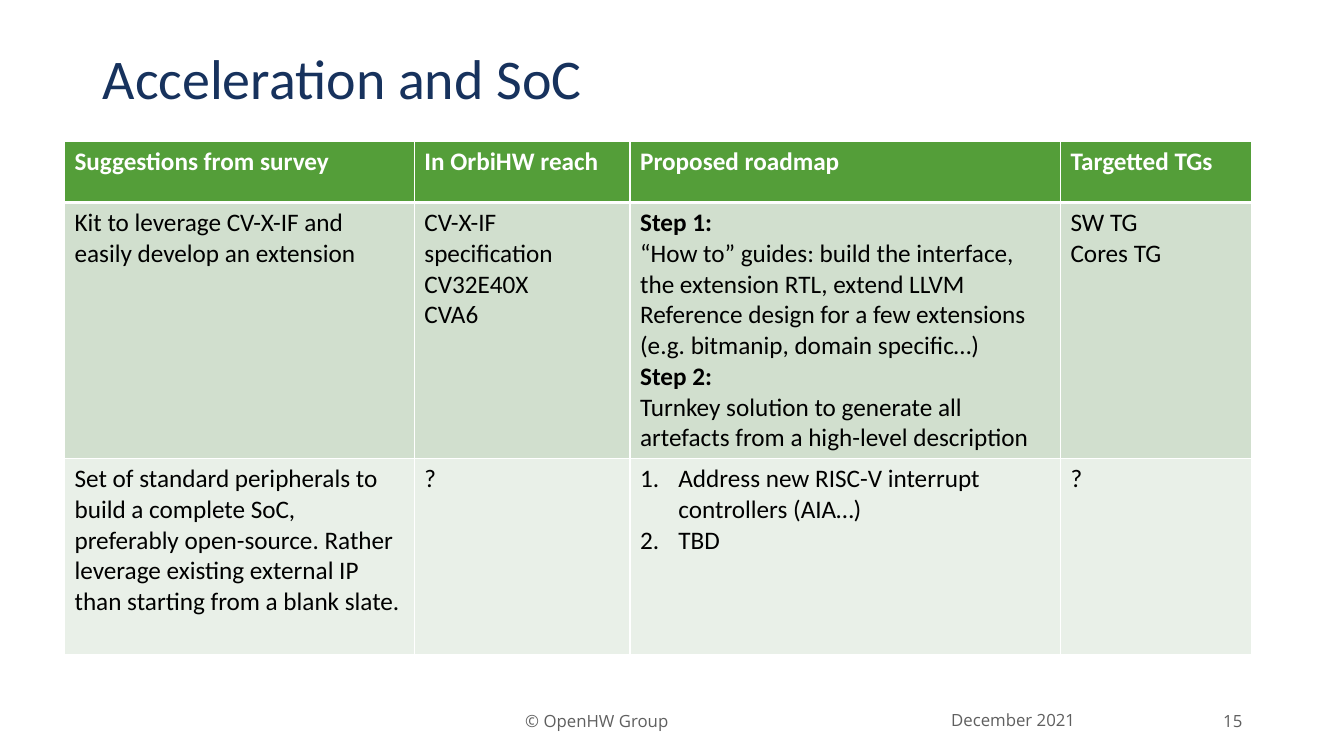
from dataclasses import dataclass

from lxml import etree
from pptx import Presentation
from pptx import util as u
from pptx.dml.color import RGBColor
from pptx.enum import text
from pptx.oxml import ns


@dataclass(frozen=True)
class Theme:
    heading: str = "17325D"
    footer: str = "5F5F5F"
    header_fill: str = "549E39"
    row_fills: tuple = ("D1DFCE", "E9F0E8")
    body: str = "000000"
    white: str = "FFFFFF"
    body_font: str = "Calibri"
    footer_font: str = "Open Sans"
    title_size: int = 40
    table_size: int = 18
    footer_size: int = 12
    rule: int = 1
    header_rule: int = 3


THEME = Theme()
WIDTH, HEIGHT = u.Inches(13.33), u.Inches(7.5)

# Column widths and row heights are percentages of the slide's size.
COLUMNS = (26.03, 16.05, 32.03, 14.25)
ROWS = (8.13, 33.87, 25.87)
HEADERS = ("Suggestions from survey", "In OrbiHW reach", "Proposed roadmap", "Targetted TGs")
SUGGESTIONS = (
    (
        "Kit to leverage CV-X-IF and easily develop an extension",
        "CV-X-IF specification\nCV32E40X\nCVA6",
        "Step 1:\n"
        "“How to” guides: build the interface, the extension RTL, extend LLVM\n"
        "Reference design for a few extensions (e.g. bitmanip, domain specific…)\n"
        "Step 2:\n"
        "Turnkey solution to generate all artefacts from a high-level description",
        "SW TG\nCores TG",
    ),
    (
        "Set of standard peripherals to build a complete SoC, preferably open-source. "
        "Rather leverage existing external IP than starting from a blank slate.",
        "?",
        "Address new RISC-V interrupt controllers (AIA…)\nTBD",
        "?",
    ),
)
NUMBERED_CELL = (2, 2)


def across(percent):
    return round(WIDTH * percent / 100)


def down(percent):
    return round(HEIGHT * percent / 100)


def style(font, name, size, color, bold=False):
    font.name, font.size, font.bold = name, u.Pt(size), bold
    font.color.rgb = RGBColor.from_string(color)


def add_label(slide, wording, box, font_name, size, color, align):
    """Add one line of text; box is left, top, width, height in percent."""
    left, top, width, height = box
    frame = slide.shapes.add_textbox(
        across(left), down(top), across(width), down(height)
    ).text_frame
    frame.word_wrap = True
    frame.vertical_anchor = text.MSO_ANCHOR.MIDDLE
    frame.text = wording
    line = frame.paragraphs[0]
    line.alignment = align
    style(line.runs[0].font, font_name, size, color)
    return line


def number(paragraph):
    properties = paragraph._p.get_or_add_pPr()
    indent = u.Inches(0.38)
    properties.set("marL", str(indent))
    properties.set("indent", str(-indent))
    etree.SubElement(properties, ns.qn("a:buFont"), typeface="+mj-lt")
    etree.SubElement(properties, ns.qn("a:buAutoNum"), type="arabicPeriod")


def add_borders(cell, top, bottom):
    properties = cell._tc.get_or_add_tcPr()
    for side, points in (("L", THEME.rule), ("R", THEME.rule), ("T", top), ("B", bottom)):
        border = etree.SubElement(properties, ns.qn(f"a:ln{side}"), w=str(u.Pt(points)))
        fill = etree.SubElement(border, ns.qn("a:solidFill"))
        etree.SubElement(fill, ns.qn("a:srgbClr"), val=THEME.white)


def fill_cell(cell, wording, row, numbered):
    is_header = row == 0
    add_borders(
        cell,
        top=THEME.header_rule if row == 1 else THEME.rule,
        bottom=THEME.header_rule if is_header else THEME.rule,
    )
    cell.fill.solid()
    cell.fill.fore_color.rgb = RGBColor.from_string(
        THEME.header_fill if is_header else THEME.row_fills[row - 1]
    )
    cell.text_frame.text = wording
    for paragraph in cell.text_frame.paragraphs:
        if numbered:
            number(paragraph)
        style(
            paragraph.runs[0].font,
            THEME.body_font,
            THEME.table_size,
            THEME.white if is_header else THEME.body,
            bold=is_header or paragraph.text.startswith("Step "),
        )


def add_roadmap(slide, left, top):
    table = slide.shapes.add_table(
        len(ROWS), len(COLUMNS), across(left), down(top), across(sum(COLUMNS)), down(sum(ROWS))
    ).table
    for column, share in zip(table.columns, COLUMNS):
        column.width = across(share)
    for row, share in zip(table.rows, ROWS):
        row.height = down(share)
    for r, wordings in enumerate((HEADERS, *SUGGESTIONS)):
        for c, wording in enumerate(wordings):
            fill_cell(table.cell(r, c), wording, r, (r, c) == NUMBERED_CELL)


def add_footer(slide):
    center, right = text.PP_ALIGN.CENTER, text.PP_ALIGN.RIGHT
    for wording, left, top, width, align in (
        ("December 2021", 66.84, 92.53, 17.1, center),
        ("© OpenHW Group", 27.53, 92.67, 33.76, center),
        ("15", 89.2, 92.67, 3.98, right),
    ):
        add_label(slide, wording, (left, top, width, 5.33),
                  THEME.footer_font, THEME.footer_size, THEME.footer, align)


def main():
    deck = Presentation()
    deck.slide_width, deck.slide_height = WIDTH, HEIGHT
    slide = deck.slides.add_slide(deck.slide_layouts[6])
    title = add_label(slide, "Acceleration and SoC", (6.9, 5.33, 83.35, 10.8),
                      THEME.body_font, THEME.title_size, THEME.heading, text.PP_ALIGN.LEFT)
    title.line_spacing = 0.9
    add_footer(slide)
    add_roadmap(slide, left=4.8, top=18.67)
    deck.save("out.pptx")


if __name__ == "__main__":
    main()
